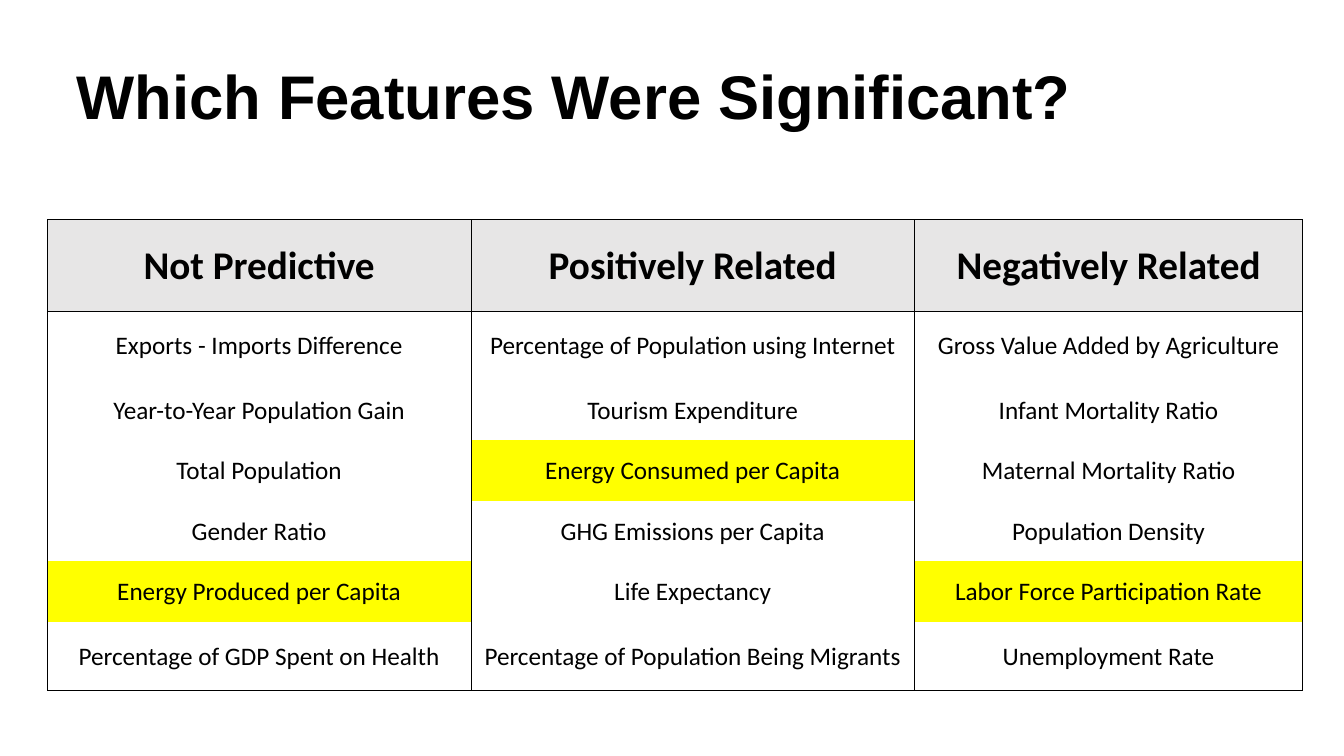
from lxml import etree
from pptx import Presentation
from pptx.dml.color import RGBColor
from pptx.enum.text import MSO_ANCHOR, PP_ALIGN
from pptx.oxml.ns import qn
from pptx.util import Inches, Pt

COLORS = {"text": "000000", "header": "E7E6E6", "highlight": "FFFF00"}
COLUMNS = {
    "Not Predictive": [
        "Exports - Imports Difference",
        "Year-to-Year Population Gain",
        "Total Population",
        "Gender Ratio",
        "Energy Produced per Capita",
        "Percentage of GDP Spent on Health",
    ],
    "Positively Related": [
        "Percentage of Population using Internet",
        "Tourism Expenditure",
        "Energy Consumed per Capita",
        "GHG Emissions per Capita",
        "Life Expectancy",
        "Percentage of Population Being Migrants",
    ],
    "Negatively Related": [
        "Gross Value Added by Agriculture",
        "Infant Mortality Ratio",
        "Maternal Mortality Ratio",
        "Population Density",
        "Labor Force Participation Rate",
        "Unemployment Rate",
    ],
}
HIGHLIGHTED = {
    "Energy Produced per Capita",
    "Energy Consumed per Capita",
    "Labor Force Participation Rate",
}
COLUMN_WIDTHS = [4.2, 4.4, 3.85]
ROW_HEIGHTS = [0.91, 0.68, 0.6, 0.6, 0.6, 0.6, 0.68]


def style_font(font, name, size, bold):
    font.name = name
    font.size = Pt(size)
    font.bold = bold
    font.color.rgb = RGBColor.from_string(COLORS["text"])


def set_borders(cell, visible):
    properties = cell._tc.get_or_add_tcPr()
    for position, side in enumerate("LRTB"):
        line = etree.Element(qn(f"a:ln{side}"), w=str(Pt(0.5)))
        if side in visible:
            fill = etree.SubElement(line, qn("a:solidFill"))
            etree.SubElement(fill, qn("a:srgbClr"), val=COLORS["text"])
        else:
            etree.SubElement(line, qn("a:noFill"))
        properties.insert(position, line)


deck = Presentation()
deck.slide_width = Inches(13.33)
deck.slide_height = Inches(7.5)
page = deck.slides.add_slide(deck.slide_layouts[6])

# Title
title = page.shapes.add_textbox(Inches(0.66), Inches(0.26), Inches(11.5), Inches(1.45))
frame = title.text_frame
frame.word_wrap = True
frame.vertical_anchor = MSO_ANCHOR.MIDDLE
frame.text = "Which Features Were Significant?"
para = frame.paragraphs[0]
para.line_spacing = 0.9
style_font(para.runs[0].font, "Arial", 44, True)

# Table grid
table = page.shapes.add_table(
    len(ROW_HEIGHTS), len(COLUMNS), Inches(0.47), Inches(2.18),
    Inches(sum(COLUMN_WIDTHS)), Inches(sum(ROW_HEIGHTS)),
).table
table.first_row = False
table.horz_banding = False
for column, width in zip(table.columns, COLUMN_WIDTHS):
    column.width = Inches(width)
for row, height in zip(table.rows, ROW_HEIGHTS):
    row.height = Inches(height)

# Headings and features
last_row = len(ROW_HEIGHTS) - 1
for column_index, (heading, features) in enumerate(COLUMNS.items()):
    for row_index, label in enumerate([heading, *features]):
        is_header = row_index == 0
        cell = table.cell(row_index, column_index)
        cell.margin_left = cell.margin_right = cell.margin_top = Inches(0.01)
        cell.margin_bottom = 0
        cell.vertical_anchor = MSO_ANCHOR.MIDDLE

        cell.text_frame.text = label
        para = cell.text_frame.paragraphs[0]
        para.alignment = PP_ALIGN.CENTER
        style_font(para.runs[0].font, "Calibri", 28 if is_header else 18, is_header)

        if is_header or label in HIGHLIGHTED:
            cell.fill.solid()
            shade = "header" if is_header else "highlight"
            cell.fill.fore_color.rgb = RGBColor.from_string(COLORS[shade])
        else:
            cell.fill.background()

        # Rules frame the header and the outside of the body
        visible = "LR"
        if row_index <= 1:
            visible += "T"
        if row_index in (0, last_row):
            visible += "B"
        set_borders(cell, visible)

deck.save("out.pptx")
